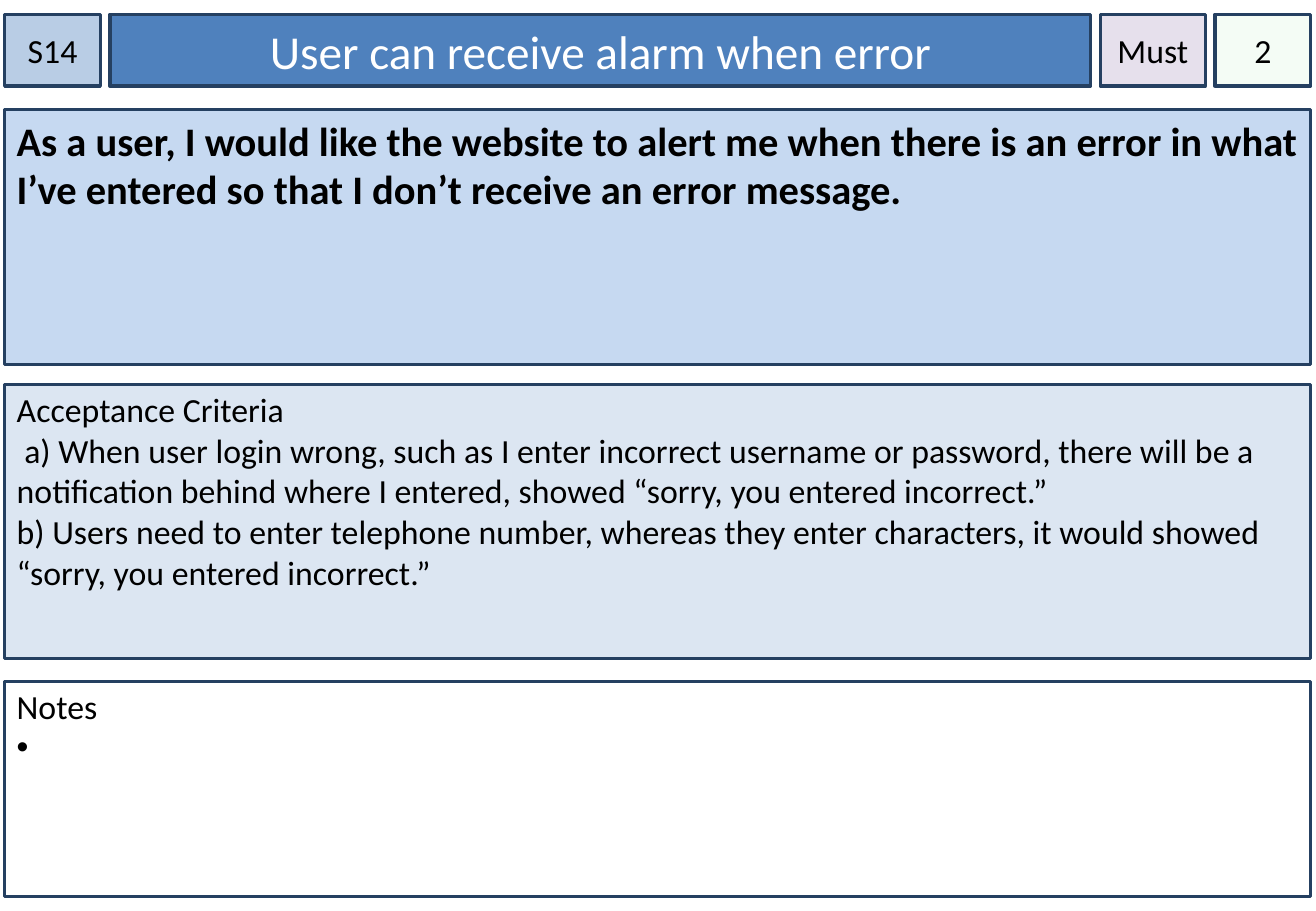
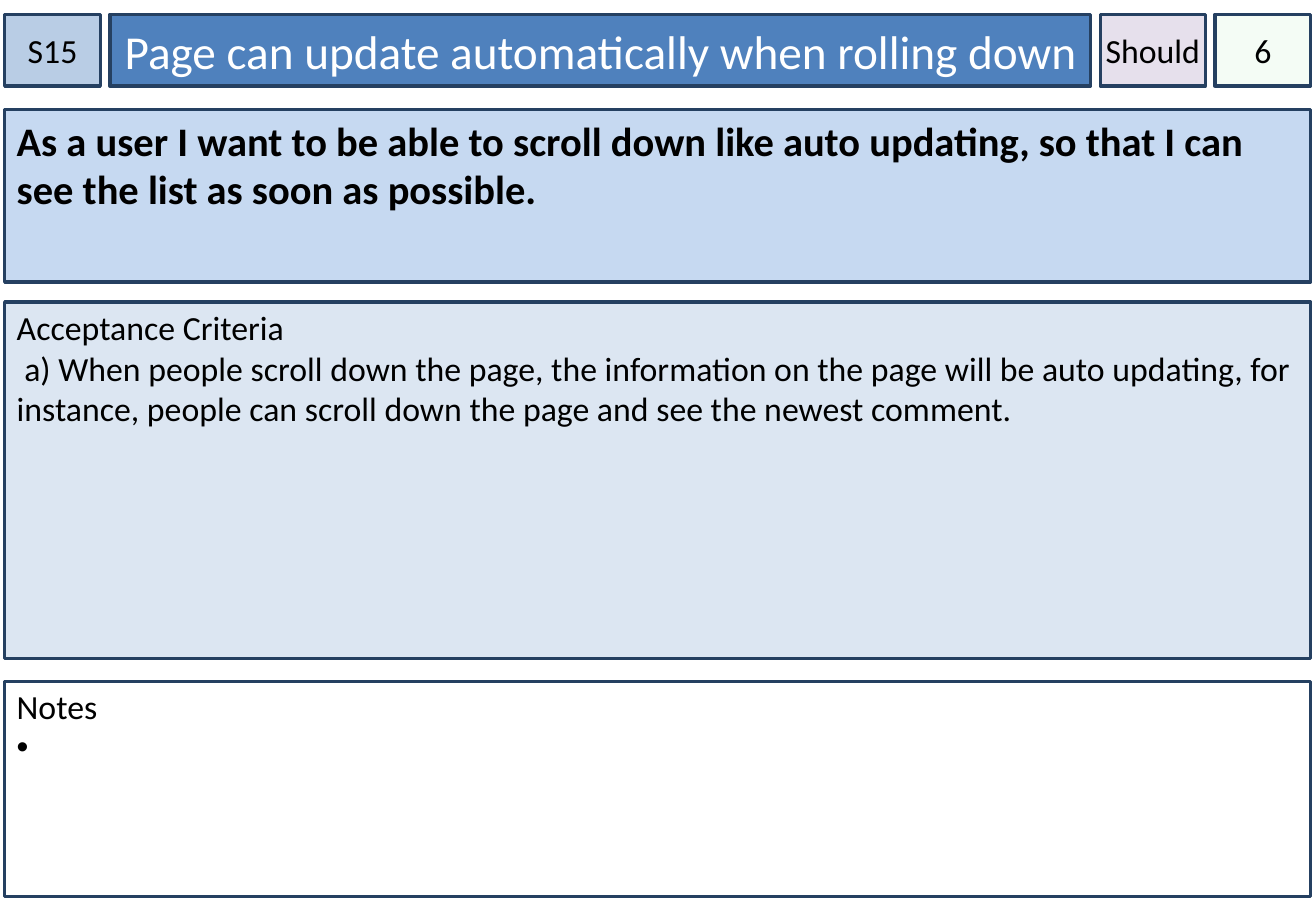
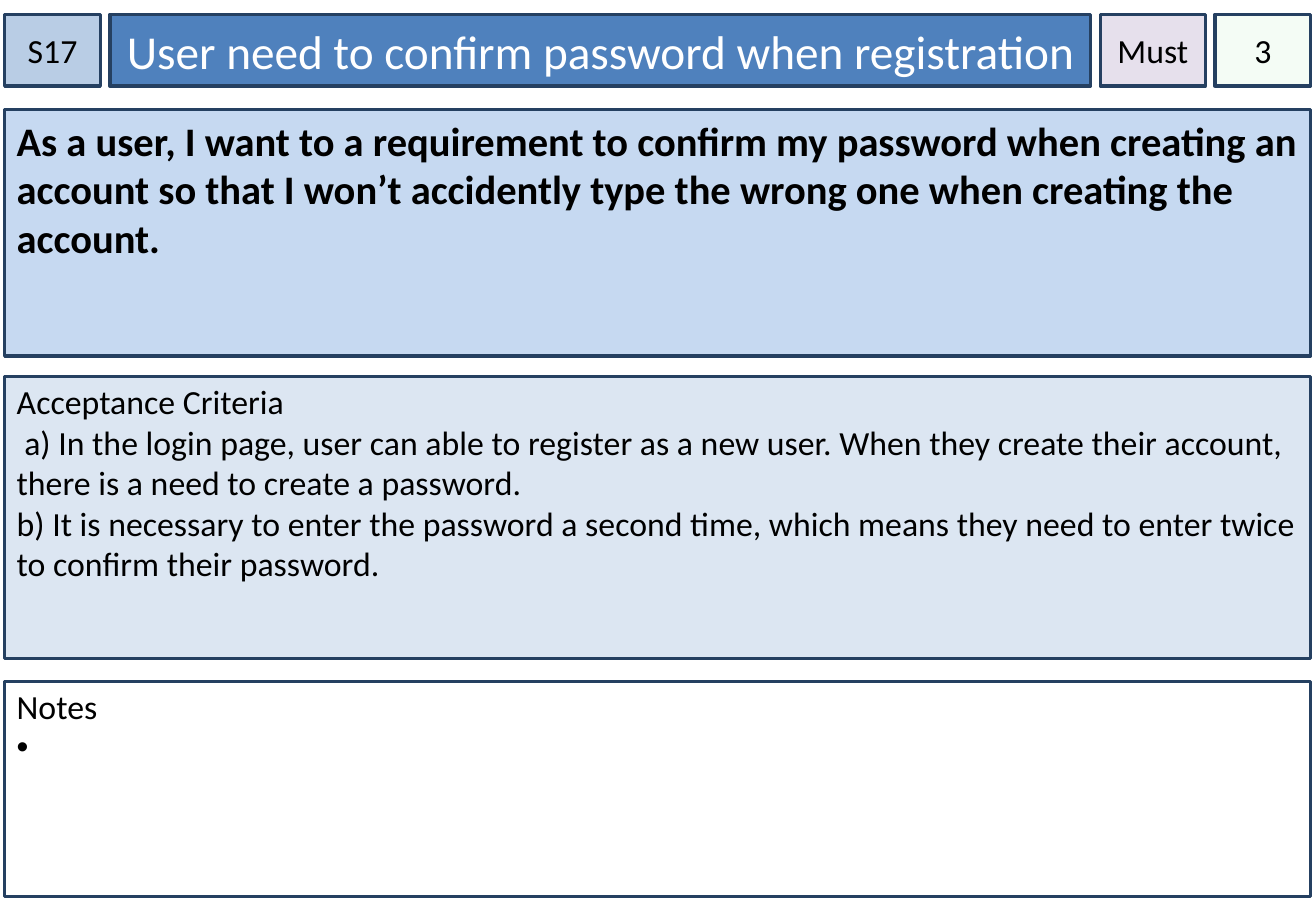
from lxml import etree
from pptx import Presentation
from pptx.dml.color import RGBColor
from pptx.enum import shapes, text
from pptx.oxml import ns
from pptx.util import Cm, Pt

FONT = "Calibri"
BLACK, WHITE = "000000", "FFFFFF"
OUTLINE = "254061"
ID_FILL, TITLE_FILL, PRIORITY_FILL, POINTS_FILL = "B9CDE5", "4F81BD", "E6E0EC", "CCF0CD"
STORY_FILL, CRITERIA_FILL = "C6D9F1", "DCE6F2"

# Lengths in centimetres
PAGE_WIDTH, PAGE_HEIGHT = 27.51, 19.05
LEFT, WIDTH = 0.1, 27.3
HEADER_TOP, HEADER_HEIGHT = 0.3, 1.5
HEADER_GAP = 0.2
ID_WIDTH, PRIORITY_WIDTH, POINTS_WIDTH = 2, 2.2, 2
STORY_TOP, STORY_GAP = 2.29, 0.42
CRITERIA_BOTTOM = 13.77
NOTES_TOP, NOTES_HEIGHT = 14.25, 4.5

CARDS = [
    {
        "id": "S14",
        "title": "User can receive alarm when error",
        "priority": "Must",
        "points": "2",
        "story": "As a user, I would like the website to alert me when there is an error "
                 "in what I’ve entered so that I don’t receive an error message.",
        "story_height": 5.33,
        "criteria": [
            " a) When user login wrong, such as I enter incorrect username or password, "
            "there will be a notification behind where I entered, showed “sorry, you "
            "entered incorrect.”",
            "b) Users need to enter telephone number, whereas they enter characters, "
            "it would showed “sorry, you entered incorrect.”",
        ],
    },
    {
        "id": "S15",
        "title": "Page can update automatically when rolling down",
        "priority": "Should",
        "points": "6",
        "story": "As a user I want to be able to scroll down like auto updating, "
                 "so that I can see the list as soon as possible.",
        "story_height": 3.61,
        "criteria": [
            " a) When people scroll down the page, the information on the page will be "
            "auto updating, for instance, people can scroll down the page and see the "
            "newest comment.",
        ],
    },
    {
        "id": "S17",
        "title": "User need to confirm password when registration",
        "priority": "Must",
        "points": "3",
        "story": "As a user, I want to a requirement to confirm my password when creating "
                 "an account so that I won’t accidently type the wrong one when creating "
                 "the account.",
        "story_height": 5.16,
        "criteria": [
            " a) In the login page, user can able to register as a new user. When they "
            "create their account, there is a need to create a password.",
            "b) It is necessary to enter the password a second time, which means they "
            "need to enter twice to confirm their password.",
        ],
    },
]


def colour(value):
    return RGBColor.from_string(value)


def set_opacity(box, percent):
    rgb = box.fill._xPr.find(".//" + ns.qn("a:srgbClr"))
    etree.SubElement(rgb, ns.qn("a:alpha"), val=str(percent * 1000))


def add_bullet(para, indent):
    properties = para._p.get_or_add_pPr()
    properties.set("marL", str(Cm(indent)))
    properties.set("indent", str(-Cm(indent)))
    etree.SubElement(properties, ns.qn("a:buFont"), typeface="Arial")
    etree.SubElement(properties, ns.qn("a:buChar"), char="•")


def add_panel(page, area, fill, lines, size=20, ink=BLACK, bold=False, centred=False,
              insets=(0.25, 0.1, 0.25, 0.13), wrap=True, bulleted=()):
    """Draw an outlined box; bulleted holds the indexes of lines with a bullet."""
    box = page.shapes.add_shape(shapes.MSO_SHAPE.RECTANGLE, *map(Cm, area))
    box.shadow.inherit = False
    box.fill.solid()
    box.fill.fore_color.rgb = colour(fill)
    box.line.color.rgb = colour(OUTLINE)
    box.line.width = Pt(2)

    frame = box.text_frame
    frame.word_wrap = wrap
    frame.vertical_anchor = text.MSO_ANCHOR.MIDDLE if centred else text.MSO_ANCHOR.TOP
    (frame.margin_left, frame.margin_top,
     frame.margin_right, frame.margin_bottom) = map(Cm, insets)
    for index, line in enumerate(lines):
        para = frame.add_paragraph() if index else frame.paragraphs[0]
        para.text = line
        para.alignment = text.PP_ALIGN.CENTER if centred else text.PP_ALIGN.LEFT
        if index in bulleted:
            add_bullet(para, 0.5)
        para.font.name = FONT
        para.font.size = Pt(size)
        para.font.bold = bold
        para.font.color.rgb = colour(ink)
    return box


def add_header(page, area, card):
    left, top, width, height = area
    tag_style = {"centred": True, "insets": (0, 0.13, 0, 0.13)}
    title_left = left + ID_WIDTH + HEADER_GAP
    points_left = left + width - POINTS_WIDTH
    priority_left = points_left - HEADER_GAP - PRIORITY_WIDTH
    title_width = priority_left - HEADER_GAP - title_left

    add_panel(page, (left, top, ID_WIDTH, height), ID_FILL, [card["id"]], **tag_style)
    add_panel(page, (title_left, top, title_width, height), TITLE_FILL, [card["title"]],
              size=28, ink=WHITE, centred=True, insets=(0.25, 0.13, 0.25, 0.13))
    add_panel(page, (priority_left, top, PRIORITY_WIDTH, height), PRIORITY_FILL,
              [card["priority"]], wrap=False, **tag_style)
    points = add_panel(page, (points_left, top, POINTS_WIDTH, height), POINTS_FILL,
                       [card["points"]], **tag_style)
    set_opacity(points, 20)


def add_story_card(deck, card):
    page = deck.slides.add_slide(deck.slide_layouts[6])
    criteria_top = STORY_TOP + card["story_height"] + STORY_GAP

    add_header(page, (LEFT, HEADER_TOP, WIDTH, HEADER_HEIGHT), card)
    add_panel(page, (LEFT, STORY_TOP, WIDTH, card["story_height"]), STORY_FILL,
              [card["story"]], size=24, bold=True, insets=(0.25, 0.13, 0.25, 0.13))
    add_panel(page, (LEFT, criteria_top, WIDTH, CRITERIA_BOTTOM - criteria_top),
              CRITERIA_FILL, ["Acceptance Criteria", *card["criteria"]])
    add_panel(page, (LEFT, NOTES_TOP, WIDTH, NOTES_HEIGHT), WHITE, ["Notes", " "],
              bulleted=(1,))


def main():
    deck = Presentation()
    deck.slide_width, deck.slide_height = Cm(PAGE_WIDTH), Cm(PAGE_HEIGHT)
    for card in CARDS:
        add_story_card(deck, card)
    deck.save("out.pptx")


if __name__ == "__main__":
    main()
